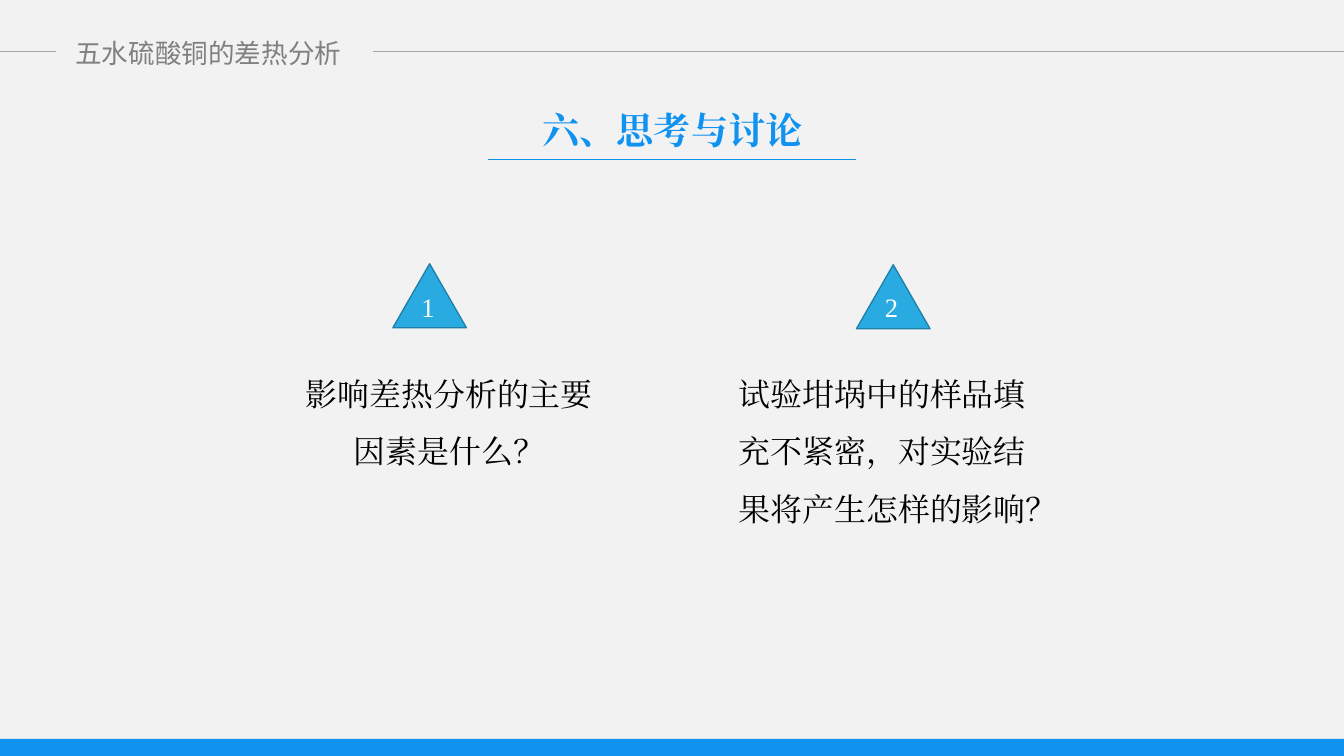
from lxml import etree
from pptx import Presentation
from pptx.dml.color import RGBColor
from pptx.enum import shapes, text
from pptx.oxml import ns
from pptx.util import Inches, Pt

COLORS = {
    "background": "F2F2F2",
    "accent": "1092F1",
    "header": "808080",
    "rule": "A6A6A6",
    "triangle": "29ABE2",
    "triangle_edge": "1E7FA7",
    "body": "000000",
    "number": "FFFFFF",
}
SERIF = "Times New Roman"
WIDTH, HEIGHT = 14.06, 7.91
HEADER_Y = 0.54

# number, triangle left and top, question left, height and alignment, wording
QUESTIONS = [
    ("1", 4.11, 2.76, 2.97, 1.24, text.PP_ALIGN.CENTER,
     "影响差热分析的主要因素是什么？"),
    ("2", 8.96, 2.77, 7.63, 1.85, text.PP_ALIGN.LEFT,
     "试验坩埚中的样品填充不紧密，对实验结果将产生怎样的影响？"),
]


def rgb(name):
    return RGBColor.from_string(COLORS[name])


def place(shape, left, top, width, height):
    shape.left, shape.top = Inches(left), Inches(top)
    shape.width, shape.height = Inches(width), Inches(height)


def write(shape, words, size, color, font=SERIF, bold=False,
          align=text.PP_ALIGN.LEFT, anchor=text.MSO_ANCHOR.TOP,
          spacing=1.0, margins=(0.1, 0.05)):
    """Fill a shape with one unbulleted paragraph of one run."""
    frame = shape.text_frame
    frame.word_wrap = True
    frame.auto_size = text.MSO_AUTO_SIZE.NONE
    frame.vertical_anchor = anchor
    frame.margin_left = frame.margin_right = Inches(margins[0])
    frame.margin_top = frame.margin_bottom = Inches(margins[1])

    paragraph = frame.paragraphs[0]
    properties = paragraph._p.get_or_add_pPr()
    properties.set("marL", "0")
    properties.set("indent", "0")
    etree.SubElement(properties, ns.qn("a:buNone"))
    paragraph.alignment = align
    paragraph.line_spacing = spacing
    paragraph.space_before = Pt(0)

    run = paragraph.add_run()
    run.text = words
    run.font.name, run.font.size, run.font.bold = font, Pt(size), bold
    run.font.color.rgb = rgb(color)
    east_asian = etree.SubElement(run._r.get_or_add_rPr(), ns.qn("a:ea"))
    east_asian.set("typeface", font)


def add_rule(slide, start, end, y, color):
    rule = slide.shapes.add_connector(
        shapes.MSO_CONNECTOR.STRAIGHT,
        Inches(start), Inches(y), Inches(end), Inches(y))
    rule.line.color.rgb = rgb(color)
    rule.line.width = Pt(1)
    etree.SubElement(rule._element.spPr, ns.qn("a:effectLst"))


def add_filled(slide, preset, left, top, width, height, fill, edge=None):
    shape = slide.shapes.add_shape(
        preset, Inches(left), Inches(top), Inches(width), Inches(height))
    shape.shadow.inherit = False
    shape.fill.solid()
    shape.fill.fore_color.rgb = rgb(fill)
    if edge:
        shape.line.color.rgb = rgb(edge)
        shape.line.width = Pt(1)
    else:
        shape.line.fill.background()


def add_label(slide, left, top, width, height, words, size, color, **style):
    label = slide.shapes.add_textbox(
        Inches(left), Inches(top), Inches(width), Inches(height))
    write(label, words, size, color, **style)


def add_header(slide):
    add_label(slide, 0.72, 0.38, 2.92, 0.34, "五水硫酸铜的差热分析", 20, "header",
              font="Arial", align=text.PP_ALIGN.CENTER,
              anchor=text.MSO_ANCHOR.MIDDLE, margins=(0, 0))
    add_rule(slide, 0, 0.59, HEADER_Y, "rule")
    add_rule(slide, 3.9, WIDTH, HEADER_Y, "rule")


def add_title(slide):
    title = slide.shapes.title
    place(title, 4.86, 1.12, 4.35, 0.47)
    write(title, "六、思考与讨论", 28, "accent", bold=True,
          align=text.PP_ALIGN.CENTER, anchor=text.MSO_ANCHOR.MIDDLE,
          margins=(0, 0))
    add_rule(slide, 5.1, 8.96, 1.67, "accent")


def add_numbered_triangle(slide, number, left, top):
    add_filled(slide, shapes.MSO_SHAPE.ISOSCELES_TRIANGLE,
               left, top, 0.77, 0.67, "triangle", "triangle_edge")
    add_label(slide, left + 0.2, top + 0.23, 0.37, 0.44, number, 20, "number")


def main():
    deck = Presentation()
    deck.slide_width, deck.slide_height = Inches(WIDTH), Inches(HEIGHT)
    slide = deck.slides.add_slide(deck.slide_layouts.get_by_name("Two Content"))
    slide.background.fill.solid()
    slide.background.fill.fore_color.rgb = rgb("background")

    add_filled(slide, shapes.MSO_SHAPE.RECTANGLE,
               0, 7.73, WIDTH, 0.18, "accent")
    add_header(slide)
    add_title(slide)

    _, *bodies = slide.placeholders
    for body, question in zip(bodies, QUESTIONS):
        number, triangle_left, triangle_top, left, height, align, words = question
        place(body, left, 3.67, 3.46, height)
        write(body, words, 24, "body", align=align, spacing=1.5)
        add_numbered_triangle(slide, number, triangle_left, triangle_top)

    deck.save("out.pptx")


if __name__ == "__main__":
    main()
